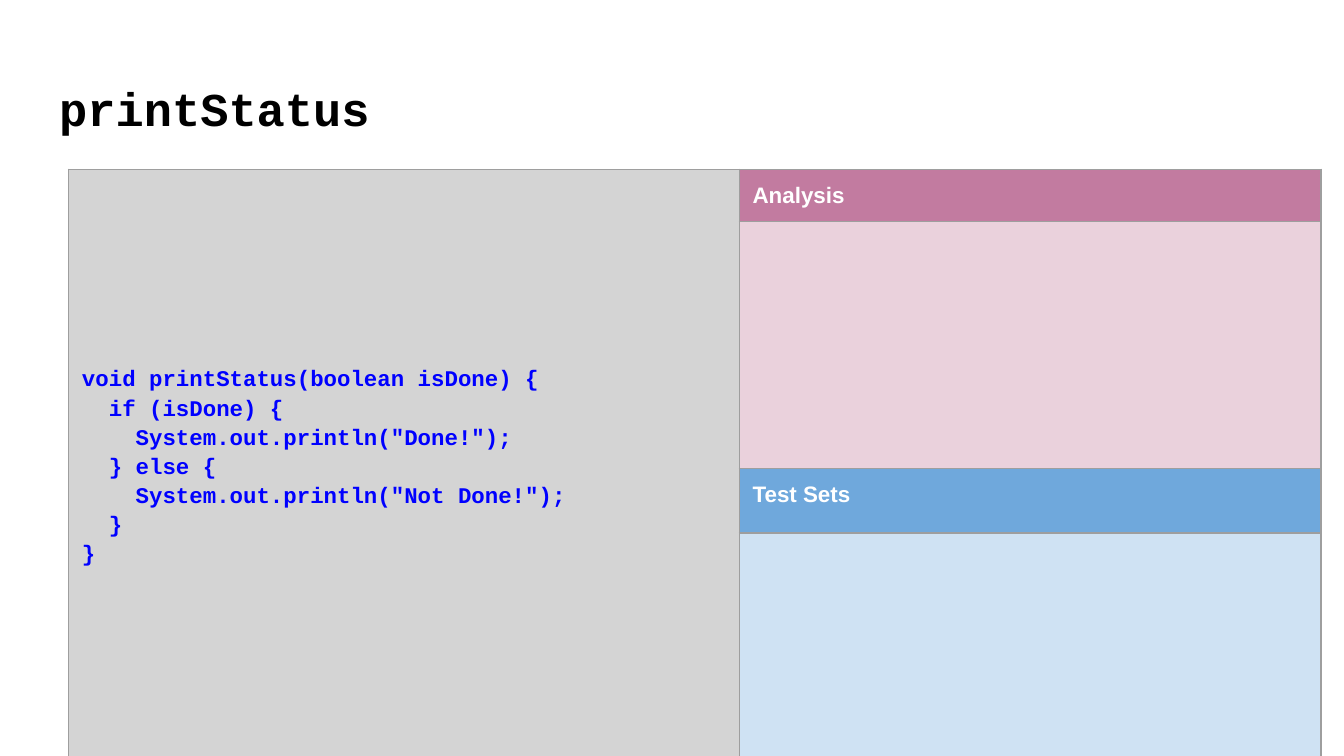
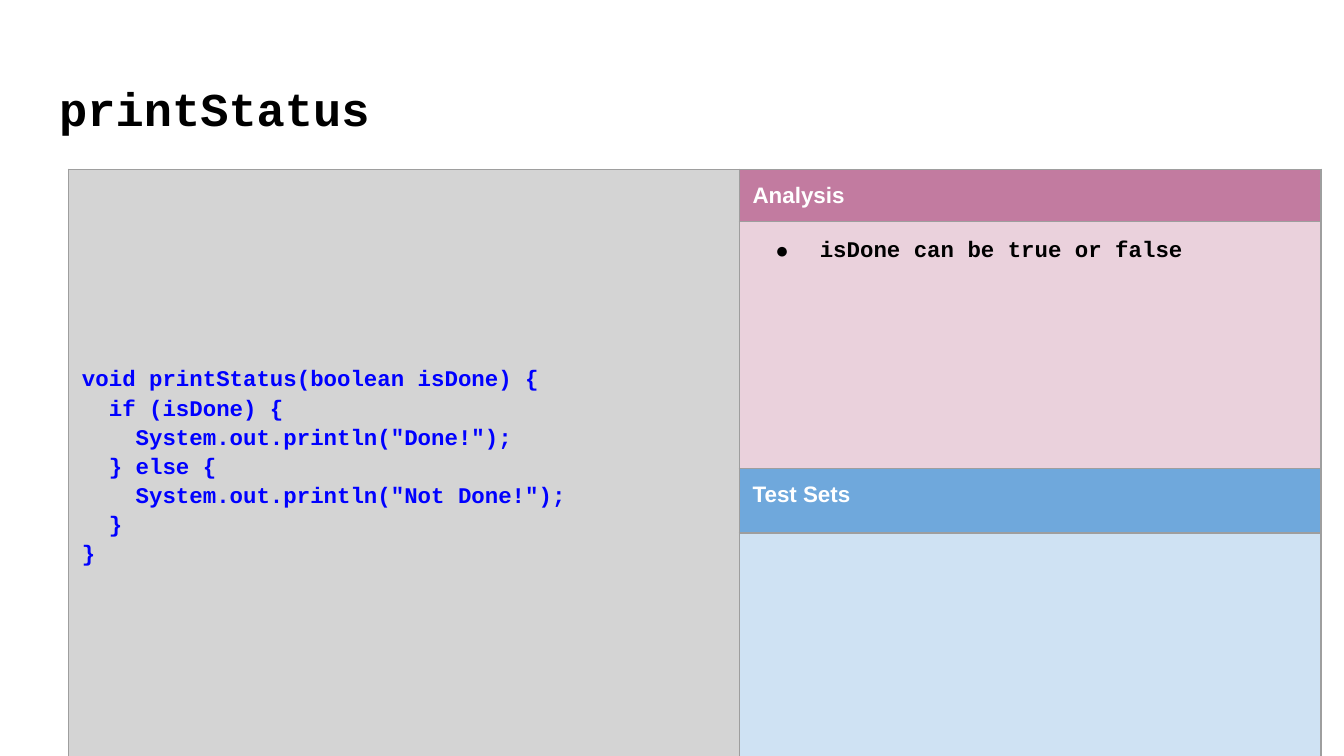
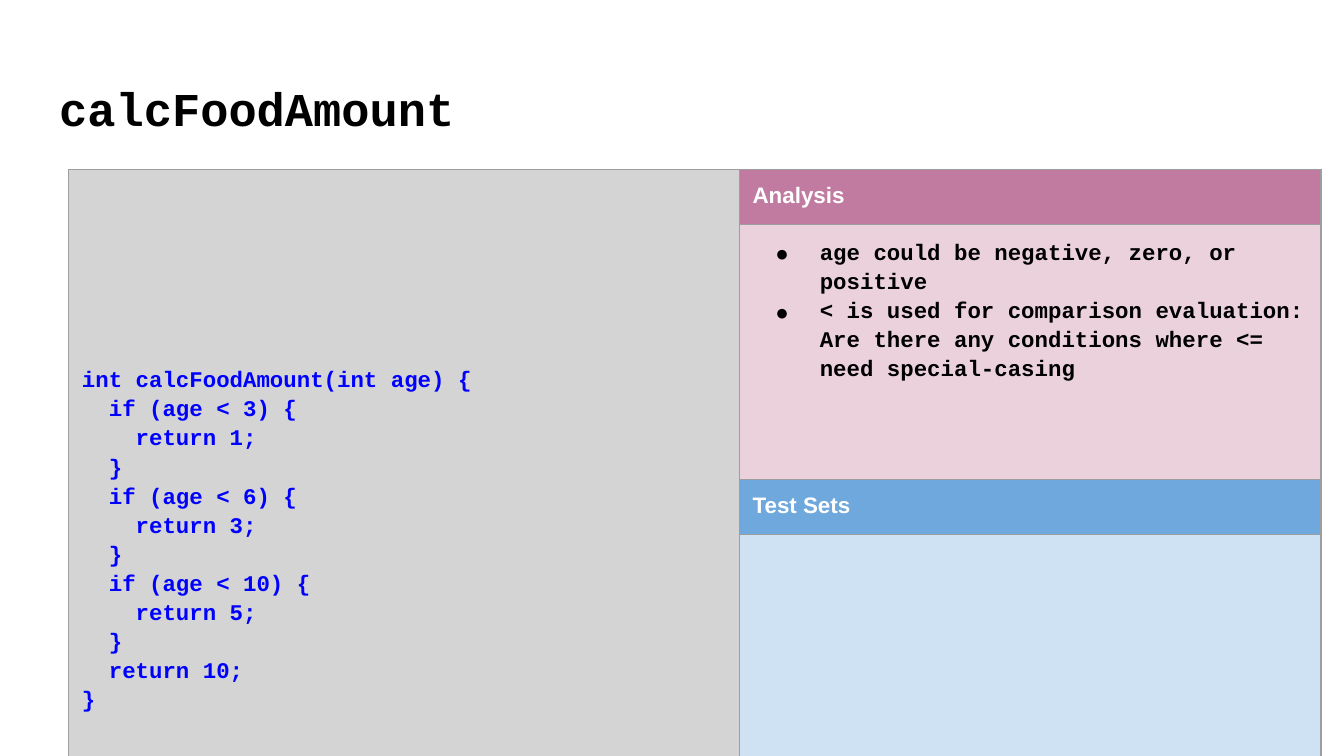
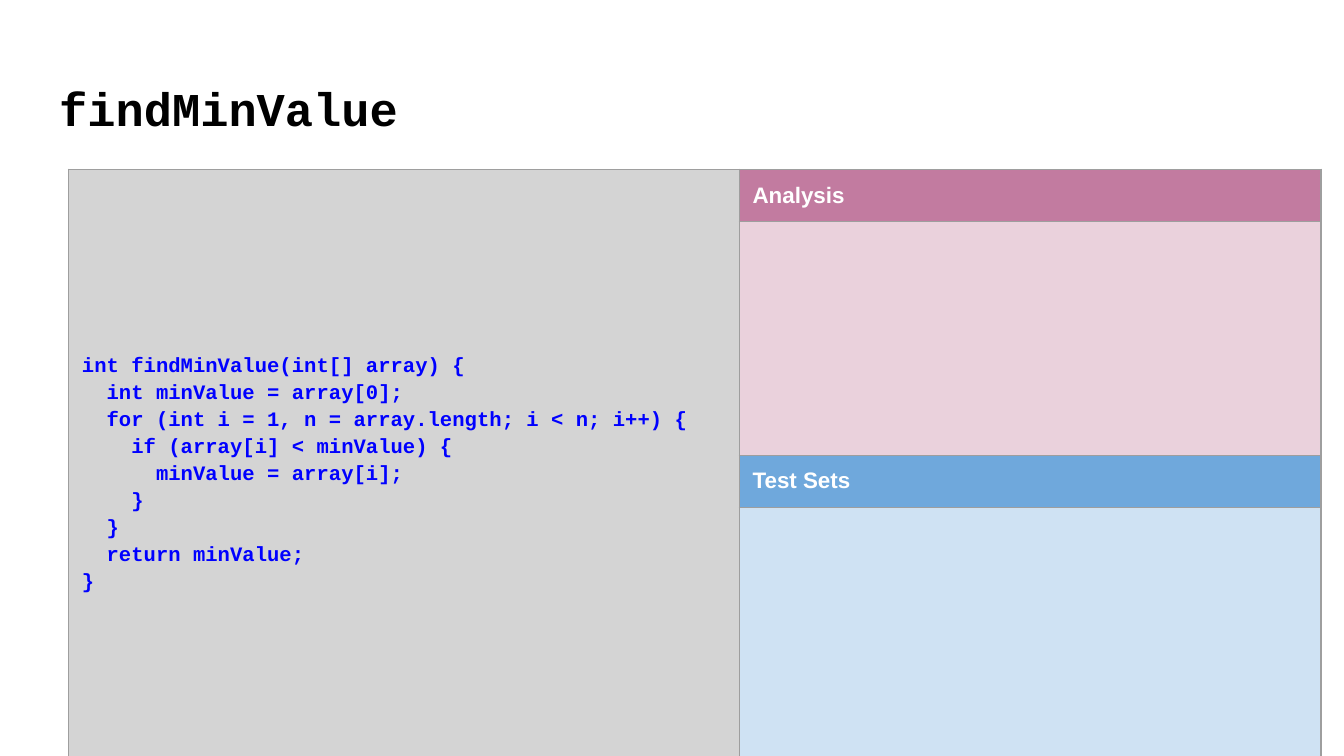
from copy import deepcopy
from dataclasses import dataclass

from lxml.etree import SubElement
from pptx import Presentation
from pptx.dml.color import RGBColor
from pptx.enum.text import MSO_ANCHOR, MSO_AUTO_SIZE, PP_ALIGN
from pptx.oxml.ns import qn
from pptx.util import Inches, Pt


@dataclass(frozen=True)
class Theme:
    sans: str = "Arial"
    mono: str = "Courier New"
    black: str = "000000"
    white: str = "FFFFFF"
    code: str = "0000FF"
    code_fill: str = "D4D4D4"
    analysis_head: str = "C27BA0"
    analysis_body: str = "EAD1DC"
    tests_head: str = "6FA8DC"
    tests_body: str = "CFE2F3"
    border: str = "9E9E9E"
    border_width: float = 0.75
    title_size: float = 25.2
    text_size: float = 12
    line_spacing: float = 1.15
    inset: float = 0.1


PRINT_STATUS = """void printStatus(boolean isDone) {
  if (isDone) {
    System.out.println("Done!");
  } else {
    System.out.println("Not Done!");
  }
}"""

CALC_FOOD_AMOUNT = """int calcFoodAmount(int age) {
  if (age < 3) {
    return 1;
  }
  if (age < 6) {
    return 3;
  }
  if (age < 10) {
    return 5;
  }
  return 10;
}"""

FIND_MIN_VALUE = """int findMinValue(int[] array) {
  int minValue = array[0];
  for (int i = 1, n = array.length; i < n; i++) {
    if (array[i] < minValue) {
      minValue = array[i];
    }
  }
  return minValue;
}"""


class Deck:
    def __init__(self, theme):
        self.theme = theme
        self.prs = Presentation()
        self.prs.slide_width = Inches(10)
        self.prs.slide_height = Inches(10) * 9 // 16
        self.s = None

    def add_slide(self, title):
        self.s = self.prs.slides.add_slide(self.prs.slide_layouts[5])
        sp = self.s.shapes.title
        sp.left, sp.top = Inches(0.34), Inches(0.49)
        sp.width, sp.height = Inches(9.32), Inches(0.63)
        tf = sp.text_frame
        tf.text = title
        tf.auto_size = MSO_AUTO_SIZE.NONE
        tf.vertical_anchor = MSO_ANCHOR.MIDDLE
        self.set_insets(tf)
        p = tf.paragraphs[0]
        p.alignment = PP_ALIGN.LEFT
        self.format_runs(p, self.theme.mono, self.theme.title_size, self.theme.black)

    def set_insets(self, box):
        inset = Inches(self.theme.inset)
        box.margin_left = box.margin_right = inset
        box.margin_top = box.margin_bottom = inset

    def format_runs(self, p, font, size, color):
        for r in p.runs:
            r.font.name = font
            r.font.size = Pt(size)
            r.font.bold = True
            r.font.color.rgb = RGBColor.from_string(color)

    def style_cell(self, cell, fill):
        t = self.theme
        self.set_insets(cell)
        tcPr = cell._tc.get_or_add_tcPr()
        for side in ("lnL", "lnR", "lnT", "lnB"):
            ln = SubElement(tcPr, qn(f"a:{side}"), w=str(Pt(t.border_width)))
            solid = SubElement(ln, qn("a:solidFill"))
            SubElement(solid, qn("a:srgbClr"), val=t.border)
        cell.fill.solid()
        cell.fill.fore_color.rgb = RGBColor.from_string(fill)

    def write_code(self, cell, code, size):
        cell.vertical_anchor = MSO_ANCHOR.MIDDLE
        p = cell.text_frame.paragraphs[0]
        p.text = code
        p.line_spacing = self.theme.line_spacing
        p.space_after = Pt(12)
        self.format_runs(p, self.theme.mono, size, self.theme.code)
        # Line breaks need the run format too, or they set their own line height.
        for br in p._p.findall(qn("a:br")):
            br.insert(0, deepcopy(p.runs[0]._r.rPr))

    def write_heading(self, cell, text):
        cell.text_frame.text = text
        self.format_runs(cell.text_frame.paragraphs[0], self.theme.sans,
                         self.theme.text_size, self.theme.white)

    def write_bullets(self, cell, items):
        t = self.theme
        tf = cell.text_frame
        for i, item in enumerate(items):
            p = tf.paragraphs[0] if i == 0 else tf.add_paragraph()
            p.text = item
            p.line_spacing = t.line_spacing
            pPr = p._p.get_or_add_pPr()
            pPr.set("marL", str(Inches(0.5)))
            pPr.set("indent", str(Inches(-0.33)))
            color = SubElement(pPr, qn("a:buClr"))
            SubElement(color, qn("a:srgbClr"), val=t.black)
            SubElement(pPr, qn("a:buFont"), typeface=t.sans)
            SubElement(pPr, qn("a:buChar"), char="●")
            self.format_runs(p, t.mono, t.text_size, t.black)

    def add_review_table(self, code, row_heights, analysis=(), code_size=None):
        """Code on the left; analysis and test sets stacked on the right."""
        t = self.theme
        col_widths = (4.99, 4.33)
        table = self.s.shapes.add_table(
            len(row_heights), len(col_widths), Inches(0.51), Inches(1.26),
            Inches(sum(col_widths)), Inches(sum(row_heights))).table
        table.first_row = table.horz_banding = False
        for col, width in zip(table.columns, col_widths):
            col.width = Inches(width)
        right_fills = (t.analysis_head, t.analysis_body, t.tests_head, t.tests_body)
        for i, (height, fill) in enumerate(zip(row_heights, right_fills)):
            table.rows[i].height = Inches(height)
            self.style_cell(table.cell(i, 0), t.code_fill)
            self.style_cell(table.cell(i, 1), fill)
        code_cell = table.cell(0, 0)
        code_cell.merge(table.cell(len(row_heights) - 1, 0))
        self.write_code(code_cell, code, code_size or t.text_size)
        self.write_heading(table.cell(0, 1), "Analysis")
        self.write_bullets(table.cell(1, 1), analysis)
        self.write_heading(table.cell(2, 1), "Test Sets")


def main():
    deck = Deck(Theme())

    for analysis in ((), ("isDone can be true or false",)):
        deck.add_slide("printStatus")
        deck.add_review_table(PRINT_STATUS, (0.19, 1.84, 0.48, 1.39), analysis)

    deck.add_slide("calcFoodAmount")
    deck.add_review_table(CALC_FOOD_AMOUNT, (0.41, 1.9, 0.41, 1.43), (
        "age could be negative, zero, or positive",
        "< is used for comparison evaluation: Are there any conditions "
        "where <= need special-casing",
    ))

    deck.add_slide("findMinValue")
    deck.add_review_table(FIND_MIN_VALUE, (0.31, 1.74, 0.31, 1.07), code_size=11)

    deck.prs.save("out.pptx")


if __name__ == "__main__":
    main()
